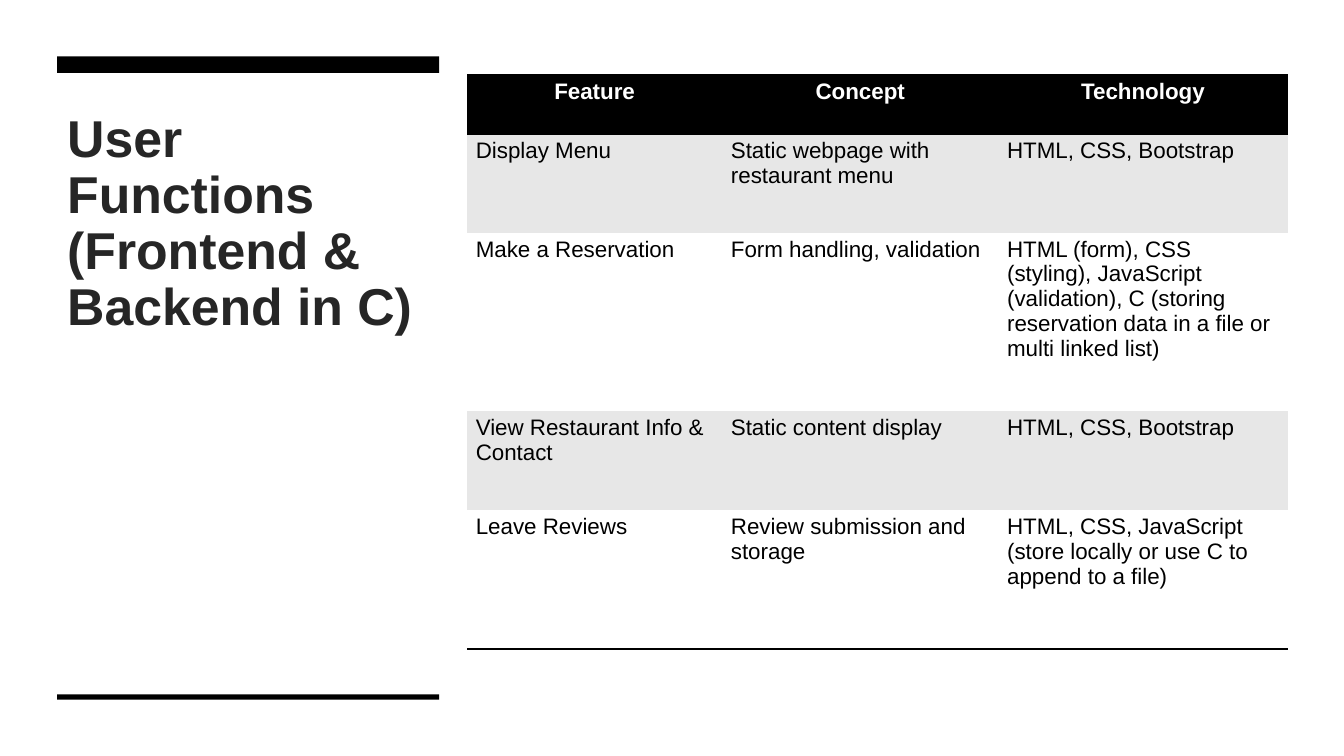
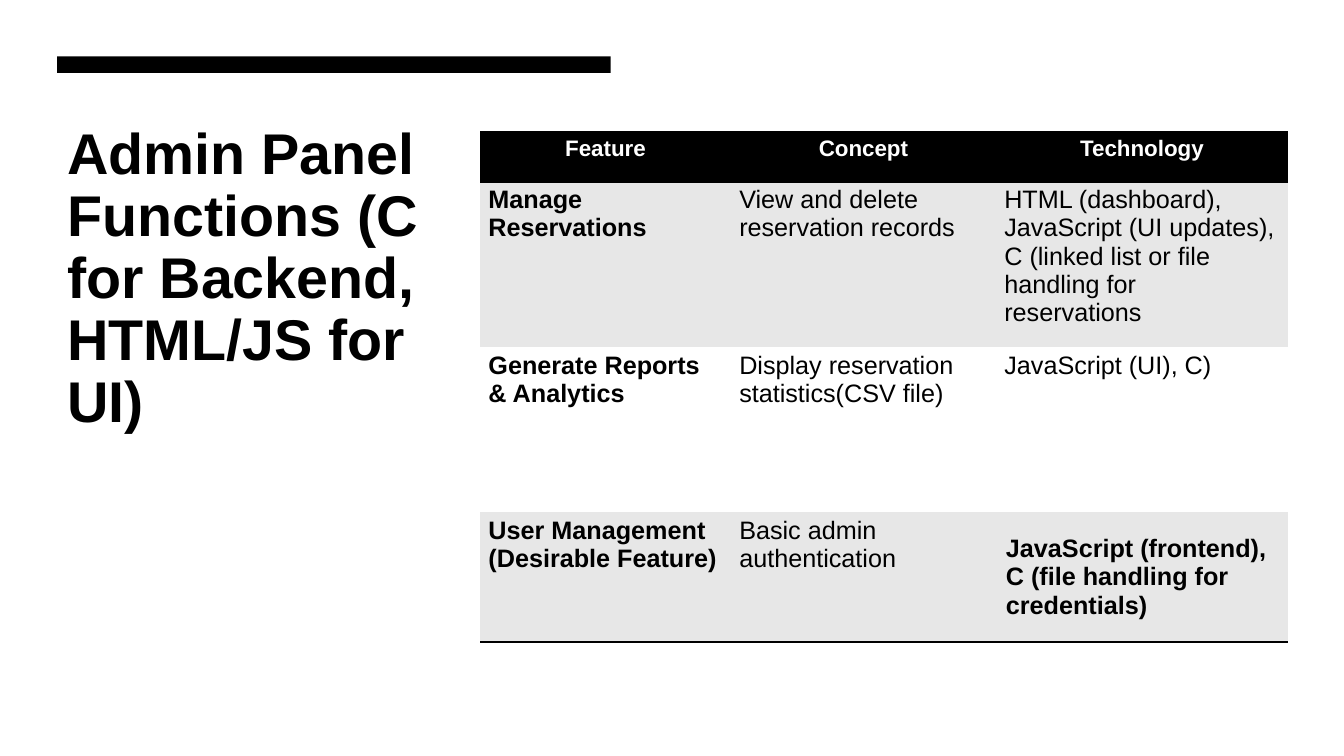
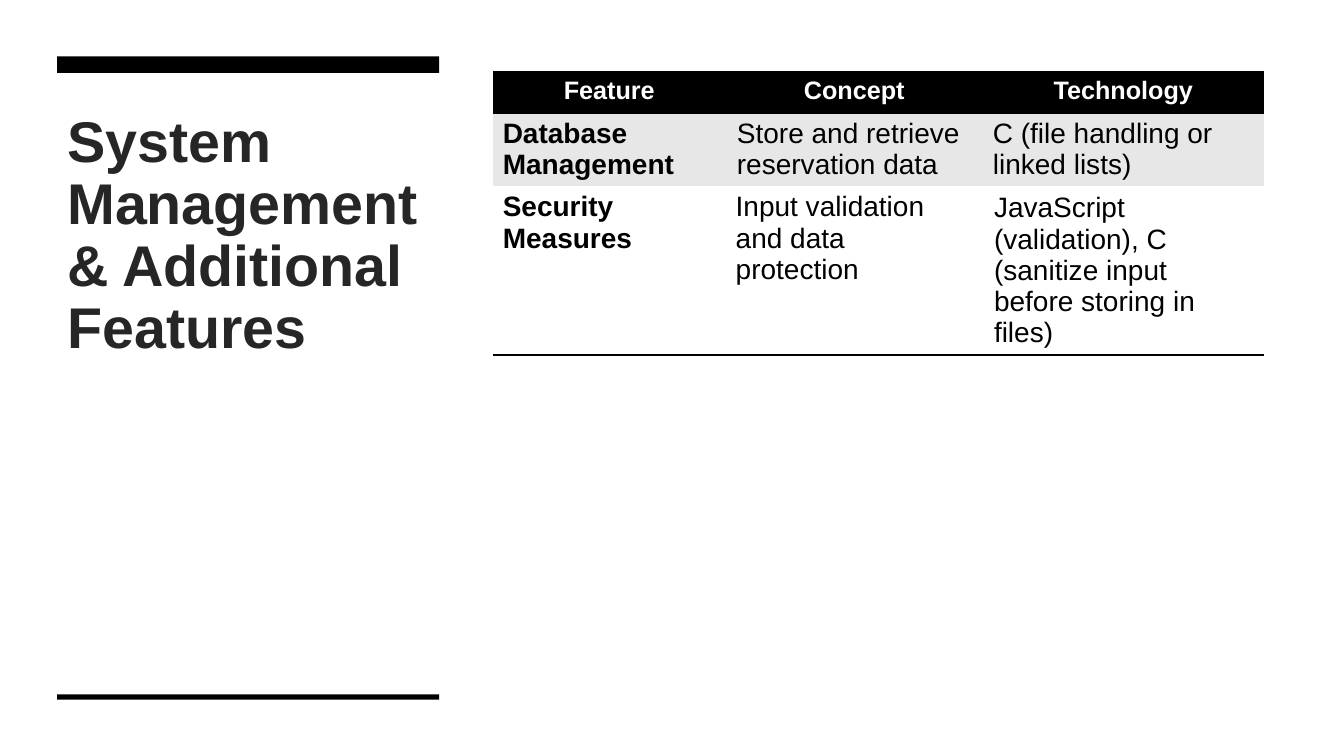
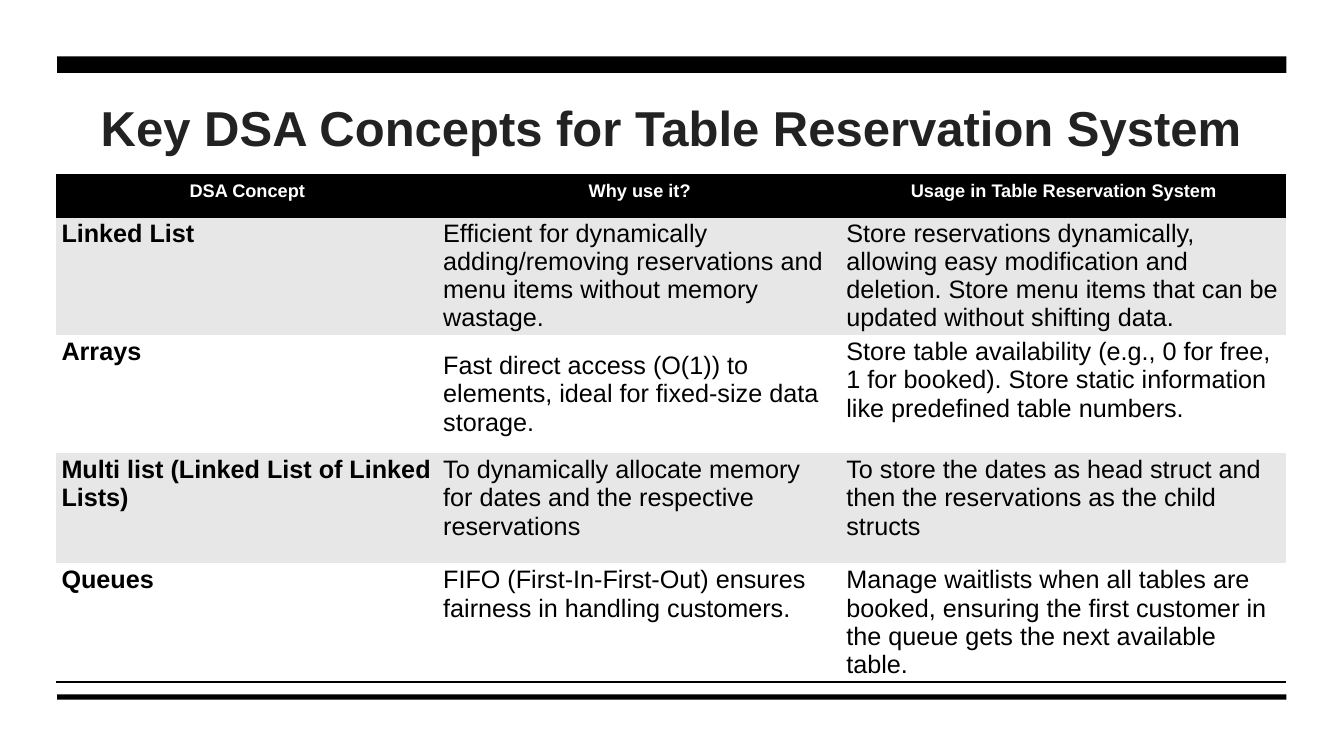
from pptx import Presentation
from pptx.dml.color import RGBColor
from pptx.enum.shapes import MSO_SHAPE
from pptx.enum.text import MSO_ANCHOR, MSO_AUTO_SIZE, PP_ALIGN
from pptx.oxml import parse_xml
from pptx.oxml.ns import nsdecls
from pptx.util import Cm, Pt

# Shared look
FONT = "Arial"
HUES = {"black": "000000", "white": "FFFFFF", "band": "E7E7E7",
        "dark": "262626", "ink": "222222"}
PLAIN = "{2D5ABB26-0587-4C30-8999-92F81FD0307C}"  # no style, no grid
LEFT = 1.44
TOP_BAR, LOW_BAR = (1.42, 0.42), (17.5, 0.13)  # top, height
HEAD = ("Feature", "Concept", "Technology")

# Content: lengths in cm, type in points; "mid" maps centred cells to insets
SLIDES = [
    {"title": "User Functions (Frontend & Backend in C)",
     "box": (2.72, 9.63, 6.81), "size": 37, "hue": "dark",
     "bar": 9.63, "low": True,
     "at": (11.77, 1.9), "cols": (6.43, 6.96, 7.29),
     "rows": (1.47, 2.49, 4.5, 2.49, 3.5),
     "type": (16, 16), "pads": ((0.22, 0.11), (0.22, 0.11)), "rule": 1.5,
     "cells": [
         HEAD,
         ("Display Menu", "Static webpage with restaurant menu",
          "HTML, CSS, Bootstrap"),
         ("Make a Reservation", "Form handling, validation",
          "HTML (form), CSS (styling), JavaScript (validation), C (storing "
          "reservation data in a file or multi linked list)"),
         ("View Restaurant Info & Contact", "Static content display",
          "HTML, CSS, Bootstrap"),
         ("Leave Reviews", "Review submission and storage",
          "HTML, CSS, JavaScript (store locally or use C to append to a file)"),
     ]},
    {"title": "Admin Panel Functions (C for Backend, HTML/JS for UI)",
     "box": (2.77, 9.91, 8.31), "size": 41, "hue": "black",
     "anchor": MSO_ANCHOR.BOTTOM, "bar": 13.95,
     "at": (12.1, 3.33), "cols": (6.32, 6.68, 7.36),
     "rows": (1.24, 4.17, 4.17, 3.27),
     "type": (16, 18), "pads": ((0.21, 0.11), (0.21, 0.11)), "rule": 2.25,
     "bold": [(1, 0), (2, 0), (3, 0), (3, 2)], "mid": {(3, 2): (0.25, 0.13)},
     "cells": [
         HEAD,
         ("Manage Reservations", "View and delete reservation records",
          "HTML (dashboard), JavaScript (UI updates), C (linked list or file "
          "handling for reservations"),
         ("Generate Reports & Analytics",
          "Display reservation statistics(CSV file)", "JavaScript (UI), C)"),
         ("User Management (Desirable Feature)", "Basic admin authentication",
          "JavaScript (frontend), C (file handling for credentials)"),
     ]},
    {"title": "System Management & Additional Features",
     "box": (2.72, 9.63, 6.81), "size": 41, "hue": "dark",
     "bar": 9.63, "low": True,
     "at": (12.42, 1.81), "cols": (5.87, 6.48, 7.08),
     "rows": (1.03, 1.83, 4.25),
     "type": (18, 20), "pads": ((0.25, 0.13), (0.25, 0.13)), "rule": 1.5,
     "bold": [(1, 0), (2, 0)],
     "mid": {(1, 1): (0.28, 0.14), (2, 2): (0.28, 0.14)},
     "cells": [
         HEAD,
         ("Database Management", "Store and retrieve reservation data",
          "C (file handling or linked lists)"),
         ("Security Measures", "Input validation and data protection",
          "JavaScript (validation), C (sanitize input before storing in files)"),
     ]},
    {"title": "Key DSA Concepts for Table Reservation System",
     "box": (2.16, 30.98, 1.93), "size": 35, "hue": "ink",
     "anchor": MSO_ANCHOR.BOTTOM, "align": PP_ALIGN.CENTER,
     "bar": 30.98, "low": True,
     "at": (1.42, 4.42), "cols": (9.62, 10.16, 11.2),
     "rows": (1.04, 2.97, 2.97, 2.78, 2.97),
     "type": (13, 18), "pads": ((0.25, 0.13), (0.13, 0.07)), "rule": 1.5,
     "bold": [(1, 0), (2, 0), (3, 0), (4, 0)], "mid": {(2, 1): (0.13, 0.07)},
     "cells": [
         ("DSA Concept", "Why use it?", "Usage in Table Reservation System"),
         ("Linked List",
          "Efficient for dynamically adding/removing reservations and menu "
          "items without memory wastage.",
          "Store reservations dynamically, allowing easy modification and "
          "deletion. Store menu items that can be updated without shifting "
          "data."),
         ("Arrays",
          "Fast direct access (O(1)) to elements, ideal for fixed-size data "
          "storage.",
          "Store table availability (e.g., 0 for free, 1 for booked). Store "
          "static information like predefined table numbers."),
         ("Multi list (Linked List of Linked Lists)",
          "To dynamically allocate memory for dates and the respective "
          "reservations",
          "To store the dates as head struct and then the reservations as the "
          "child structs"),
         ("Queues",
          "FIFO (First-In-First-Out) ensures fairness in handling customers.",
          "Manage waitlists when all tables are booked, ensuring the first "
          "customer in the queue gets the next available table."),
     ]},
]


def tint(hue):
    return RGBColor.from_string(HUES[hue])


def style(para, size, hue, bold, align):
    para.alignment = align
    font = para.font
    font.name, font.size, font.bold = FONT, Pt(size), bold
    font.color.rgb = tint(hue)


def add_bar(slide, band, width):
    top, high = band
    bar = slide.shapes.add_shape(
        MSO_SHAPE.RECTANGLE, Cm(LEFT), Cm(top), Cm(width), Cm(high))
    bar.shadow.inherit = False
    bar.fill.solid()
    bar.fill.fore_color.rgb = tint("black")
    bar.line.fill.background()


def set_title(slide, data):
    title = slide.shapes.title
    top, wide, high = data["box"]
    title.left, title.top = Cm(LEFT), Cm(top)
    title.width, title.height = Cm(wide), Cm(high)
    frame = title.text_frame
    frame.text = data["title"]
    frame.word_wrap = True
    frame.auto_size = MSO_AUTO_SIZE.NONE
    frame.vertical_anchor = data.get("anchor", MSO_ANCHOR.TOP)
    para = frame.paragraphs[0]
    para.line_spacing = 0.9
    style(para, data["size"], data["hue"], True,
          data.get("align", PP_ALIGN.LEFT))


def add_rule(cell, side, width):
    """Draw a black line on one side ("T" or "B") of a cell."""
    line = parse_xml(
        f'<a:ln{side} {nsdecls("a")} w="{Pt(width)}"><a:solidFill>'
        f'<a:srgbClr val="{HUES["black"]}"/></a:solidFill></a:ln{side}>')
    # borders must come before the fill, top before bottom
    cell._tc.get_or_add_tcPr().insert(0, line)


def fill_cell(cell, text, row, col, data):
    head = row == 0
    mid = data.get("mid", {})
    cell.text = text
    pad_x, pad_y = mid.get((row, col), data["pads"][0 if head else 1])
    cell.margin_left = cell.margin_right = Cm(pad_x)
    cell.margin_top = cell.margin_bottom = Cm(pad_y)
    cell.vertical_anchor = (
        MSO_ANCHOR.MIDDLE if (row, col) in mid else MSO_ANCHOR.TOP)
    cell.fill.solid()
    cell.fill.fore_color.rgb = tint(
        "black" if head else "band" if row % 2 else "white")
    style(cell.text_frame.paragraphs[0], data["type"][0 if head else 1],
          "white" if head else "black",
          head or (row, col) in data.get("bold", ()),
          PP_ALIGN.CENTER if head else PP_ALIGN.LEFT)
    if head or row == len(data["rows"]) - 1:
        add_rule(cell, "B", data["rule"])
    if head:
        add_rule(cell, "T", data["rule"])


def add_grid(slide, data):
    cols, rows = data["cols"], data["rows"]
    left, top = data["at"]
    grid = slide.shapes.add_table(
        len(rows), len(cols), Cm(left), Cm(top),
        Cm(sum(cols)), Cm(sum(rows))).table
    grid._tbl.tblPr.find("{*}tableStyleId").text = PLAIN
    grid.horz_banding = False
    for part, wide in zip(grid.columns, cols):
        part.width = Cm(wide)
    for part, high in zip(grid.rows, rows):
        part.height = Cm(high)
    for row, texts in enumerate(data["cells"]):
        for col, text in enumerate(texts):
            fill_cell(grid.cell(row, col), text, row, col, data)


def main():
    deck = Presentation()
    deck.slide_width, deck.slide_height = Cm(33.87), Cm(19.05)
    for data in SLIDES:
        slide = deck.slides.add_slide(deck.slide_layouts[5])  # title only
        set_title(slide, data)
        add_bar(slide, TOP_BAR, data["bar"])
        if data.get("low"):
            add_bar(slide, LOW_BAR, data["bar"])
        add_grid(slide, data)
    deck.save("out.pptx")


if __name__ == "__main__":
    main()
